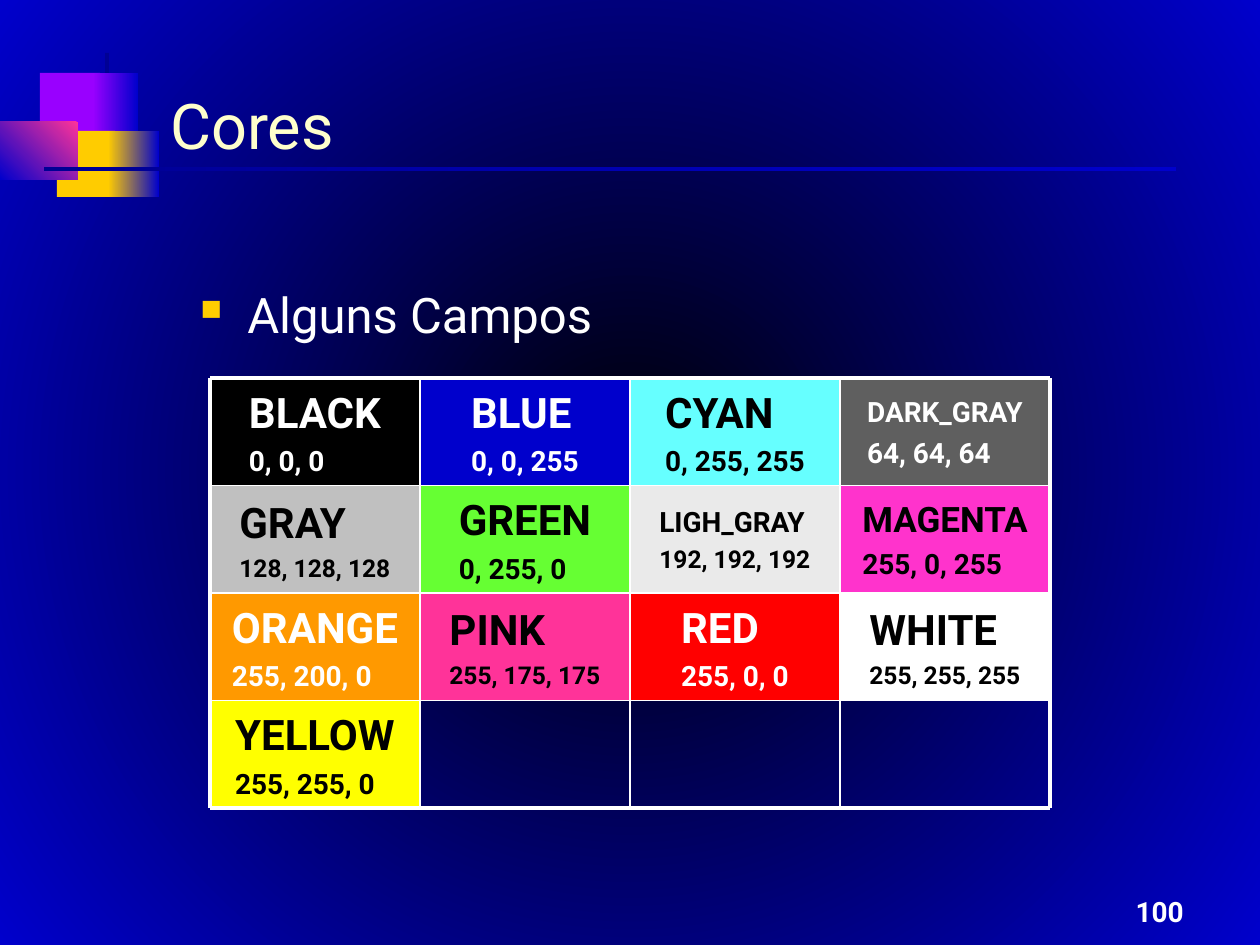
from lxml import etree
from pptx import Presentation
from pptx.dml.color import RGBColor
from pptx.enum.shapes import MSO_CONNECTOR, MSO_SHAPE
from pptx.enum.text import MSO_ANCHOR, PP_ALIGN
from pptx.oxml.ns import qn
from pptx.util import Pt

RECT, STRAIGHT = MSO_SHAPE.RECTANGLE, MSO_CONNECTOR.STRAIGHT
TOP, MIDDLE, BOTTOM = MSO_ANCHOR.TOP, MSO_ANCHOR.MIDDLE, MSO_ANCHOR.BOTTOM
LEFT, RIGHT = PP_ALIGN.LEFT, PP_ALIGN.RIGHT
FONT = "Roboto"
COLORS = {
    "night": "000004", "blue": "0000CC", "navy": "000094", "purple": "9900FF",
    "gold": "FFCC00", "pink": "FF3399", "cream": "FFFFCC", "white": "FFFFFF",
    "black": "000000", "cyan": "66FFFF", "dark_gray": "5F5F5F",
    "gray": "C0C0C0", "green": "66FF33", "light_gray": "EAEAEA",
    "magenta": "FF33CC", "orange": "FF9900", "red": "FF0000",
    "yellow": "FFFF00",
}
SWATCHES = [
    [("BLACK", 24, "0, 0, 0", 16, "black", "white"),
     ("BLUE", 24, "0, 0, 255", 16, "blue", "white"),
     ("CYAN", 24, "0, 255, 255", 16, "cyan", "black"),
     ("DARK_GRAY", 16, "64, 64, 64", 16, "dark_gray", "white")],
    [("GRAY", 24, "128, 128, 128", 14, "gray", "black"),
     ("GREEN", 24, "0, 255, 0", 16, "green", "black"),
     ("LIGH_GRAY", 16, "192, 192, 192", 14, "light_gray", "black"),
     ("MAGENTA", 20, "255, 0, 255", 16, "magenta", "black")],
    [("ORANGE", 24, "255, 200, 0", 16, "orange", "white"),
     ("PINK", 24, "255, 175, 175", 14, "pink", "black"),
     ("RED", 24, "255, 0, 0", 16, "red", "white"),
     ("WHITE", 24, "255, 255, 255", 14, "white", "black")],
    [("YELLOW", 24, "255, 255, 0", 16, "yellow", "black")],
]


def px(n):
    """Turn pixels at 126 to the inch into EMU."""
    return round(n * 914400 / 126)


def rgb(name):
    """Look up a named colour."""
    return RGBColor.from_string(COLORS[name])


def set_gradient(fill, colors, angle=0):
    """Give a fill a two-stop linear gradient with a clockwise angle."""
    fill.gradient()
    fill.gradient_angle = (360 - angle) % 360
    for stop, name in zip(fill.gradient_stops, colors):
        stop.color.rgb = rgb(name)


def add_rect(s, x, y, w, h, colors, angle=0):
    """Add a borderless rectangle in one colour or a gradient of two."""
    sp = s.shapes.add_shape(RECT, px(x), px(y), px(w), px(h))
    sp.shadow.inherit = False
    sp.line.fill.background()
    if len(colors) == 1:
        sp.fill.solid()
        sp.fill.fore_color.rgb = rgb(colors[0])
    else:
        set_gradient(sp.fill, colors, angle)
    return sp


def set_paragraph(p, text, size, color, bold=False, align=LEFT):
    """Write one paragraph in the slide font."""
    p.text = text
    p.alignment = align
    p.font.name, p.font.size, p.font.bold = FONT, Pt(size), bold
    p.font.color.rgb = rgb(color)


def add_text(s, box, text, size, color, anchor, bold=False, align=LEFT):
    """Add a one-paragraph text box and return its paragraph."""
    tf = s.shapes.add_textbox(*map(px, box)).text_frame
    tf.word_wrap = True
    tf.vertical_anchor = anchor
    p = tf.paragraphs[0]
    set_paragraph(p, text, size, color, bold, align)
    return p


def add_line(s, x1, y1, x2, y2, width):
    """Add a white rule without a shadow."""
    line = s.shapes.add_connector(STRAIGHT, px(x1), px(y1), px(x2), px(y2))
    line.line.color.rgb = rgb("white")
    line.line.width = Pt(width)
    etree.SubElement(line._element.spPr, qn("a:effectLst"))


def set_background(s):
    """Fill the slide with a glow that darkens towards its centre."""
    fill = s.background.fill
    set_gradient(fill, ("night", "blue"))
    lin = next(s.background._cSld.iter(qn("a:lin")))
    glow = etree.Element(qn("a:path"), {"path": "circle"})
    sides = dict.fromkeys("ltrb", "50000")
    etree.SubElement(glow, qn("a:fillToRect"), sides)
    lin.getparent().replace(lin, glow)


def add_ornament(s, x, y):
    """Draw the overlapping squares and the rules beside the title."""
    parts = [
        (105, 0, 4, 145, ("navy",), 0),
        (40, 20, 60, 66, ("purple",), 0),
        (93, 20, 45, 66, ("blue", "purple"), 180),
        (57, 78, 58, 66, ("gold",), 0),
        (108, 78, 51, 66, ("blue", "gold"), 180),
        (0, 69, 78, 58, ("pink", "blue"), 135),
        (44, 114, 1132, 4, ("blue", "navy"), 180),
    ]
    for dx, dy, w, h, colors, angle in parts:
        add_rect(s, x + dx, y + dy, w, h, colors, angle)


def add_bullet(s, box, text):
    """Add a line of text with a square gold bullet."""
    p = add_text(s, box, text, 28, "white", TOP)
    pPr = p._p.get_or_add_pPr()
    pPr.set("marL", str(px(47)))
    pPr.set("indent", str(px(-47)))
    clr = etree.Element(qn("a:buClr"))
    etree.SubElement(clr, qn("a:srgbClr"), val=COLORS["gold"])
    size = etree.Element(qn("a:buSzPct"), val="60000")
    font = etree.Element(qn("a:buFont"), typeface="Wingdings", charset="2")
    char = etree.Element(qn("a:buChar"), char="n")
    for i, part in enumerate((clr, size, font, char)):
        pPr.insert(i, part)


def add_swatch(s, box, name, name_size, value, value_size, fill, color):
    """Add one colour cell with its name and RGB value in a centred block."""
    tf = add_rect(s, *box, (fill,)).text_frame
    tf.word_wrap = False
    tf.vertical_anchor = MIDDLE
    tf._txBody.bodyPr.set("anchorCtr", "1")
    set_paragraph(tf.paragraphs[0], name, name_size, color, True)
    p = tf.add_paragraph()
    set_paragraph(p, value, value_size, color, True)
    p.space_before = Pt(value_size / 4)


def add_swatch_grid(s, x, y, w, h, n=4):
    """Lay out the swatches in an n by n grid with ruled lines."""
    xs = [x + w * i / n for i in range(n + 1)]
    ys = [y + h * i / n for i in range(n + 1)]
    for row, top, bottom in zip(SWATCHES, ys, ys[1:]):
        for swatch, left, right in zip(row, xs, xs[1:]):
            add_swatch(s, (left, top, right - left, bottom - top), *swatch)
    widths = [2.25] + [1] * (n - 1) + [2.25]
    for line_y, width in zip(ys, widths):
        add_line(s, x, line_y, x + w, line_y, width)
    for line_x, width in zip(xs, widths):
        add_line(s, line_x, y, line_x, y + h, width)


def main():
    """Build the slide and save it."""
    prs = Presentation()
    prs.slide_width, prs.slide_height = px(1260), px(945)
    s = prs.slides.add_slide(prs.slide_layouts[6])
    set_background(s)
    add_ornament(s, 0, 53)
    add_text(s, (935, 871, 261, 63), "100", 16, "white", BOTTOM, True, RIGHT)
    add_text(s, (158, 62, 1074, 106), "Cores", 36, "cream", BOTTOM)
    add_bullet(s, (188, 278, 1072, 90), "Alguns Campos")
    add_swatch_grid(s, 210, 378, 840, 430)
    prs.save("out.pptx")


if __name__ == "__main__":
    main()
